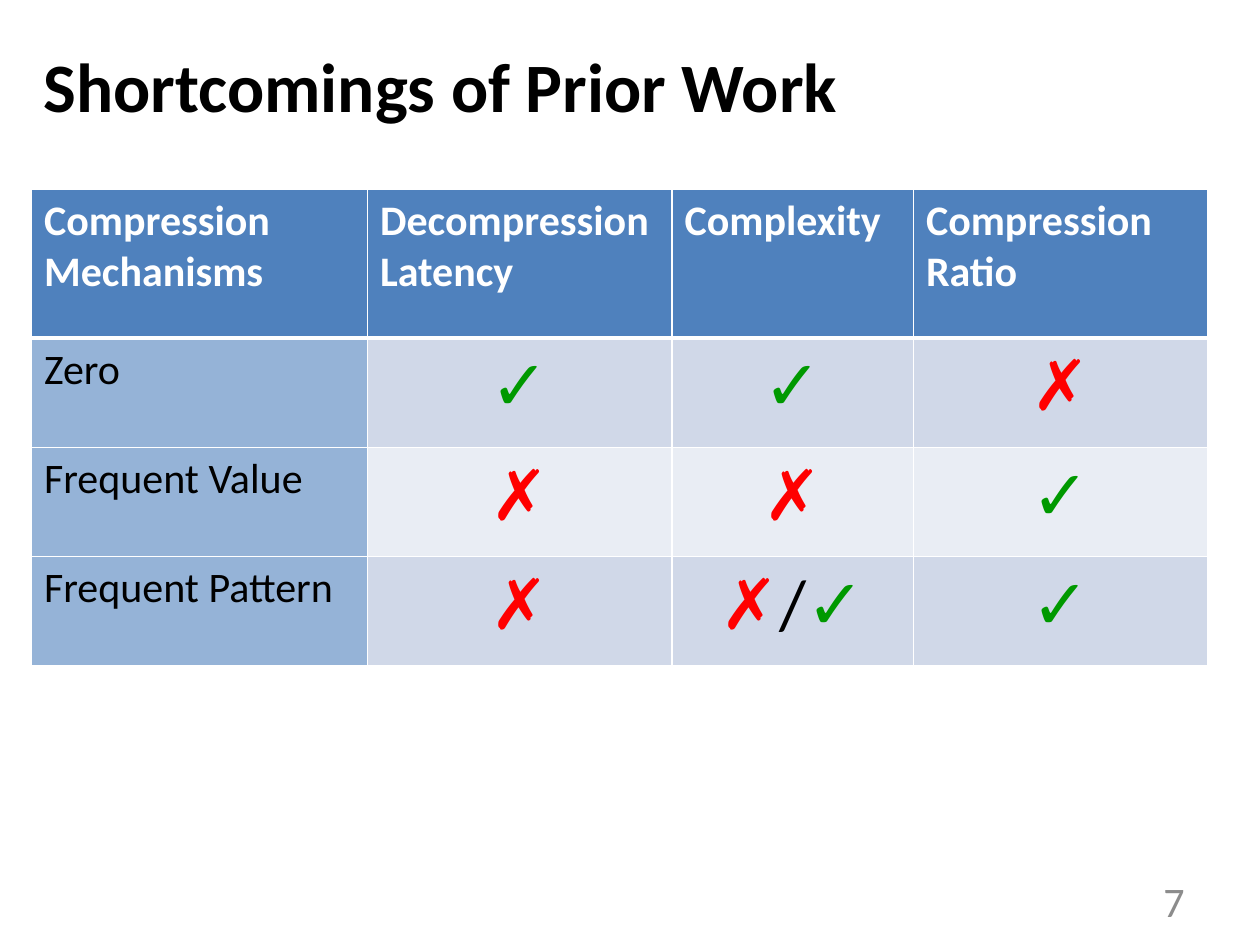
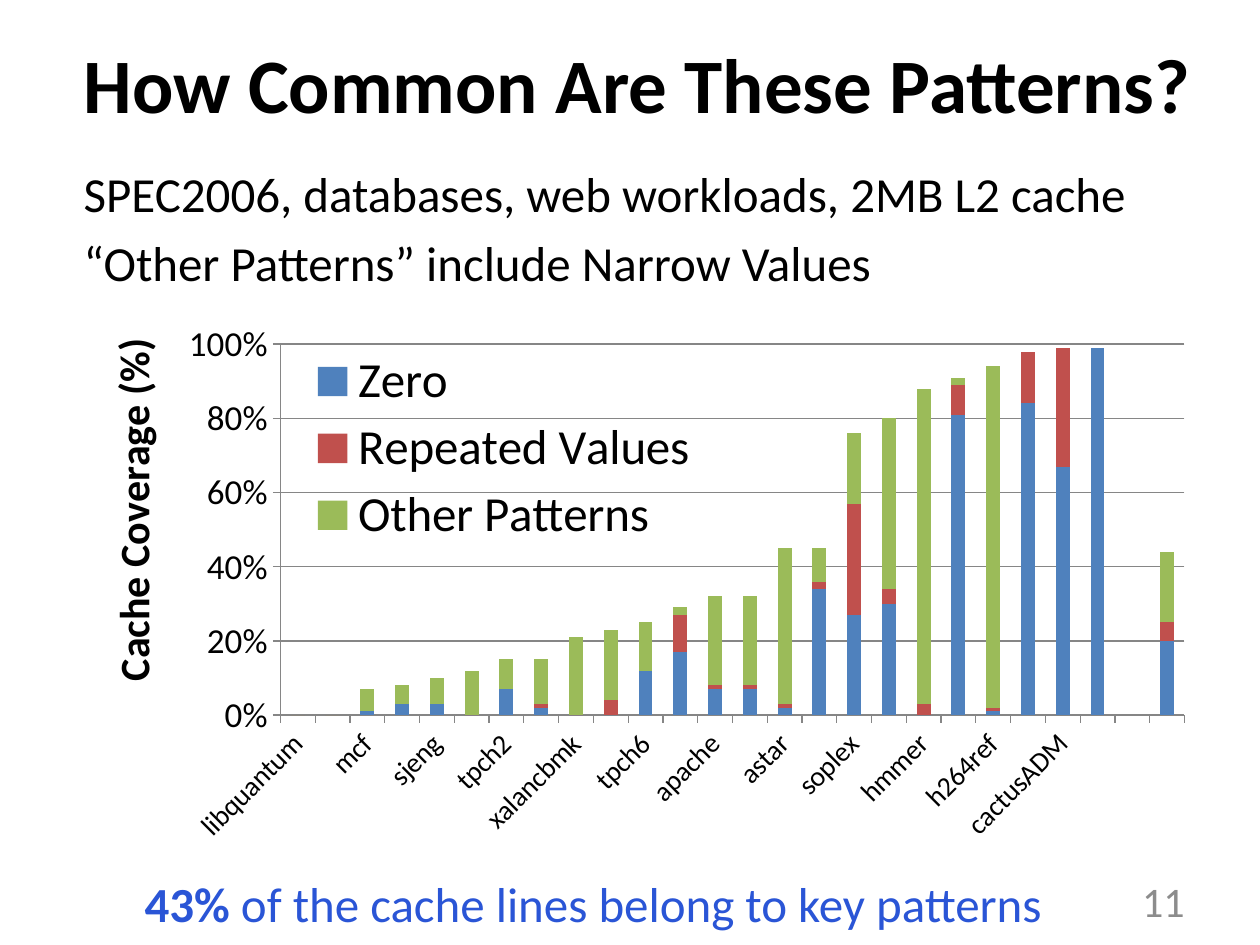
from dataclasses import dataclass

from lxml import etree
from pptx import Presentation
from pptx.chart.data import CategoryChartData
from pptx.dml.color import RGBColor
from pptx.enum.chart import XL_CHART_TYPE, XL_LEGEND_POSITION, XL_TICK_MARK
from pptx.enum.text import MSO_ANCHOR, PP_ALIGN
from pptx.oxml import parse_xml
from pptx.oxml.ns import nsdecls, qn
from pptx.util import Inches, Pt

STACKED = XL_CHART_TYPE.COLUMN_STACKED
LEGEND_TOP = XL_LEGEND_POSITION.TOP
TICK_OUTSIDE = XL_TICK_MARK.OUTSIDE
LEFT, CENTER, RIGHT = PP_ALIGN.LEFT, PP_ALIGN.CENTER, PP_ALIGN.RIGHT
TOP, MIDDLE = MSO_ANCHOR.TOP, MSO_ANCHOR.MIDDLE

GRID_STEPS_PER_INCH = 12
YES, NO = "✓", "✗"


@dataclass(frozen=True)
class Theme:
    font: str = "Calibri"
    ink: str = "000000"
    paper: str = "FFFFFF"
    muted: str = "8C8C8C"
    highlight: str = "2A55D6"
    header: str = "4F81BD"
    label_column: str = "95B3D7"
    bands: tuple = ("D0D8E8", "E9EDF4")
    good: str = "009900"
    bad: str = "FF0000"
    axis: str = "868686"
    series: tuple = ("4F81BD", "C0504D", "9BBB59")
    body_size: float = 28
    table_size: float = 24
    mark_size: float = 40
    number_size: float = 24
    value_size: float = 20
    category_size: float = 16
    paragraph_gap: float = 5.6


def grid(*steps):
    return [Inches(step / GRID_STEPS_PER_INCH) for step in steps]


def set_manual_layout(parent, inner=False, **shares):
    for previous in parent.findall(qn("c:layout")):
        parent.remove(previous)
    layout = parse_xml(f"<c:layout {nsdecls('c')}><c:manualLayout/></c:layout>")
    settings = {"layoutTarget": "inner"} if inner else {}
    settings.update(xMode="edge", yMode="edge", **shares)
    for name, value in settings.items():
        etree.SubElement(layout[0], qn(f"c:{name}"), val=str(value))
    overlay = parent.find(qn("c:overlay"))
    parent.insert(0 if overlay is None else parent.index(overlay), layout)


class Deck:
    def __init__(self, theme):
        self.theme = theme
        self.presentation = Presentation()
        self.presentation.slide_width = Inches(10)
        self.presentation.slide_height = Inches(7.5)
        self.slide = None

    def add_slide(self, number):
        self.slide = self.presentation.slides.add_slide(self.presentation.slide_layouts[6])
        self.add_text((86, 83.4, 28, 4.8), [str(number)], self.theme.number_size,
                      self.theme.muted, align=RIGHT, anchor=MIDDLE)

    def style(self, font, size, color, bold=False):
        font.name = self.theme.font
        font.size = Pt(size)
        font.bold = bold
        font.color.rgb = RGBColor.from_string(color)

    def add_text(self, box, lines, size, color, bold=False, align=LEFT, anchor=TOP):
        frame = self.slide.shapes.add_textbox(*grid(*box)).text_frame
        frame.word_wrap = True
        frame.vertical_anchor = anchor
        frame.text = "\n".join(lines)
        for index, paragraph in enumerate(frame.paragraphs):
            paragraph.alignment = align
            if index:
                paragraph.space_before = Pt(self.theme.paragraph_gap)
            self.style(paragraph.font, size, color, bold)
        return frame

    def add_title(self, box, text, size):
        self.add_text(box, [text], size, self.theme.ink, bold=True, anchor=MIDDLE)

    def add_caption(self, box, emphasis, text):
        frame = self.add_text(box, [emphasis], self.theme.body_size, self.theme.highlight)
        paragraph = frame.paragraphs[0]
        paragraph.runs[0].font.bold = True
        paragraph.add_run().text = text

    def add_cell_borders(self, cell, bottom):
        properties = cell._tc.get_or_add_tcPr()
        for side, width in zip("LRTB", (1, 1, 1, bottom)):
            properties.append(parse_xml(
                f'<a:ln{side} {nsdecls("a")} w="{Pt(width)}"><a:solidFill>'
                f'<a:srgbClr val="{self.theme.paper}"/></a:solidFill></a:ln{side}>'))

    def write_label(self, cell, text, color, bold):
        cell.text = text
        for paragraph in cell.text_frame.paragraphs:
            self.style(paragraph.font, self.theme.table_size, color, bold)

    def write_marks(self, cell, marks):
        colors = {YES: self.theme.good, NO: self.theme.bad}
        paragraph = cell.text_frame.paragraphs[0]
        paragraph.alignment = CENTER
        for mark in marks:
            run = paragraph.add_run()
            run.text = mark
            self.style(run.font, self.theme.mark_size, colors.get(mark, self.theme.ink))

    def add_table(self, left, top, widths, heights, rows):
        theme = self.theme
        box = grid(left, top, sum(widths), sum(heights))
        table = self.slide.shapes.add_table(len(rows), len(widths), *box).table
        for column, width in zip(table.columns, grid(*widths)):
            column.width = width
        for row, height in zip(table.rows, grid(*heights)):
            row.height = height
        for row_index, row in enumerate(rows):
            for column_index, text in enumerate(row):
                cell = table.cell(row_index, column_index)
                self.add_cell_borders(cell, bottom=1 if row_index else 3)
                if row_index == 0:
                    fill = theme.header
                    self.write_label(cell, text, theme.paper, bold=True)
                elif column_index == 0:
                    fill = theme.label_column
                    self.write_label(cell, text, theme.ink, bold=False)
                else:
                    fill = theme.bands[(row_index - 1) % 2]
                    self.write_marks(cell, text)
                cell.fill.solid()
                cell.fill.fore_color.rgb = RGBColor.from_string(fill)

    def style_axis(self, axis, size):
        axis.major_tick_mark = TICK_OUTSIDE
        axis.format.line.color.rgb = RGBColor.from_string(self.theme.axis)
        self.style(axis.tick_labels.font, size, self.theme.ink)

    def add_stacked_chart(self, box, categories, series, value_title):
        theme = self.theme
        data = CategoryChartData(number_format="0%")
        data.categories = categories
        for name, values in series.items():
            data.add_series(name, values)
        chart = self.slide.shapes.add_chart(STACKED, *grid(*box), data).chart
        self.style(chart.font, 10, theme.ink)
        chart.has_title = False
        plot = chart.plots[0]
        plot.gap_width, plot.overlap = 150, 100
        plot.vary_by_categories = False
        for bars, color in zip(plot.series, theme.series):
            bars.format.fill.solid()
            bars.format.fill.fore_color.rgb = RGBColor.from_string(color)

        category_axis = chart.category_axis
        self.style_axis(category_axis, theme.category_size)
        element = category_axis._element
        element.find(f"{qn('c:txPr')}/{qn('a:bodyPr')}").set("rot", "-2700000")
        skip = parse_xml(f'<c:tickLblSkip {nsdecls("c")} val="2"/>')
        element.find(qn("c:noMultiLvlLbl")).addprevious(skip)

        value_axis = chart.value_axis
        self.style_axis(value_axis, theme.value_size)
        value_axis.minimum_scale, value_axis.maximum_scale = 0, 1
        value_axis.major_unit = 0.2
        value_axis.has_major_gridlines = True
        value_axis.major_gridlines.format.line.color.rgb = RGBColor.from_string(theme.axis)
        value_axis.tick_labels.number_format = "0%"
        value_axis.tick_labels.number_format_is_linked = False
        title = value_axis.axis_title
        title.text_frame.text = value_title
        self.style(title.text_frame.paragraphs[0].font, theme.table_size, theme.ink, bold=True)

        chart.has_legend = True
        chart.legend.position = LEGEND_TOP
        chart.legend.include_in_layout = False
        self.style(chart.legend.font, theme.body_size, theme.ink)
        set_manual_layout(title._element, x=0.03, y=0.17)
        set_manual_layout(chart.legend._element, x=0.2, y=0.19, w=0.37, h=0.32)
        set_manual_layout(chart._chartSpace.chart.plotArea, inner=True,
                          x=0.19, y=0.19, w=0.79, h=0.57)


def add_prior_work_slide(deck):
    deck.add_slide(7)
    deck.add_title((3, 3.1, 113, 10), "Shortcomings of Prior Work", 39.6)
    deck.add_table(3, 18, (32, 29, 23, 28), (14.2, 10.4, 10.4, 10.4), [
        ("Compression\nMechanisms", "Decompression\nLatency", "Complexity",
         "Compression\nRatio"),
        ("Zero", YES, YES, NO),
        ("Frequent Value", NO, NO, YES),
        ("Frequent Pattern", NO, f"{NO}/{YES}", YES),
    ])


def add_pattern_coverage_slide(deck):
    categories = [
        "libquantum", "lbm", "mcf", "tpch17", "sjeng", "omnetpp", "tpch2", "sphinx3",
        "xalancbmk", "bzip2", "tpch6", "leslie3d", "apache", "gromacs", "astar", "gobmk",
        "soplex", "gcc", "hmmer", "wrf", "h264ref", "zeusmp", "cactusADM", "GemsFDTD",
        "", "Average"]
    coverage = {
        "Zero": [0, 0, 0.01, 0.03, 0.03, 0, 0.07, 0.02, 0, 0, 0.12, 0.17, 0.07, 0.07,
                 0.02, 0.34, 0.27, 0.3, 0, 0.81, 0.01, 0.84, 0.67, 0.99, None, 0.2],
        "Repeated Values": [0, 0, 0, 0, 0, 0, 0, 0.01, 0, 0.04, 0, 0.1, 0.01, 0.01,
                            0.01, 0.02, 0.3, 0.04, 0.03, 0.08, 0.01, 0.14, 0.32, 0,
                            None, 0.05],
        "Other Patterns": [0, 0, 0.06, 0.05, 0.07, 0.12, 0.08, 0.12, 0.21, 0.19, 0.13,
                           0.02, 0.24, 0.24, 0.42, 0.09, 0.19, 0.46, 0.85, 0.02, 0.92,
                           0, 0, 0, None, 0.19],
    }
    deck.add_slide(11)
    deck.add_title((6.8, 0.4, 108, 15), "How Common Are These Patterns?", 44)
    deck.add_stacked_chart((6, 21, 109, 62), categories, coverage, "Cache Coverage (%)")
    deck.add_text((6.8, 15, 109, 13), [
        "SPEC2006, databases, web workloads, 2MB L2 cache",
        "“Other Patterns” include Narrow Values",
    ], deck.theme.body_size, deck.theme.ink)
    deck.add_caption((12.6, 82.6, 94.3, 6), "43% ",
                     "of the cache lines belong to key patterns")


def main():
    deck = Deck(Theme())
    add_prior_work_slide(deck)
    add_pattern_coverage_slide(deck)
    deck.presentation.save("out.pptx")


if __name__ == "__main__":
    main()
